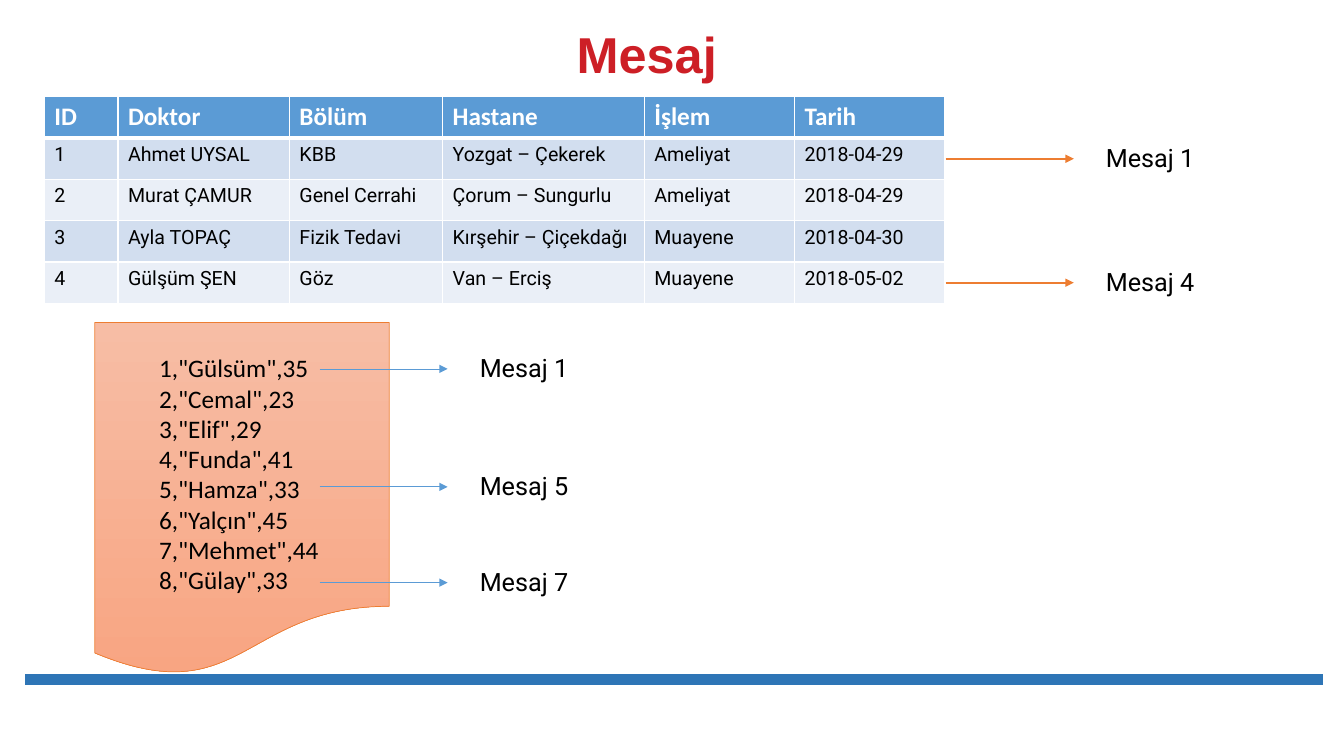
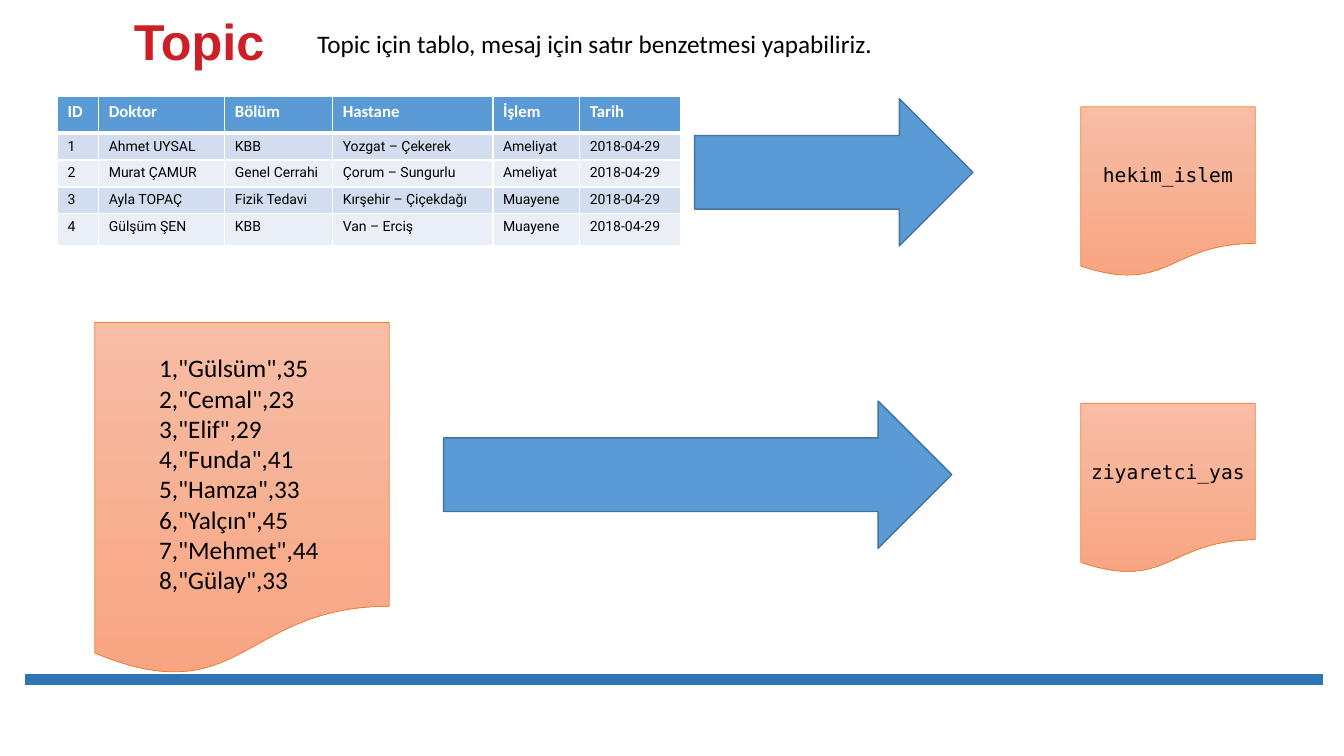
import pptx
import pptx.dml.color
import pptx.enum.shapes
import pptx.enum.text
import pptx.oxml
import pptx.oxml.ns
import pptx.util
from lxml import etree

Inches = pptx.util.Inches
Pt = pptx.util.Pt
Shape = pptx.enum.shapes.MSO_SHAPE
Anchor = pptx.enum.text.MSO_ANCHOR
Align = pptx.enum.text.PP_ALIGN
qn = pptx.oxml.ns.qn

BLACK, WHITE, RED = "000000", "FFFFFF", "CD1F26"
BLUE, NAVY, EDGE = "5B9BD5", "2E75B6", "43739E"
ORANGE, PEACH, SALMON = "ED7D31", "F7BDA5", "F8A582"
BANDS = ("D2DEEF", "EAEFF7")

HEADER = ("ID", "Doktor", "Bölüm", "Hastane", "İşlem", "Tarih")
DOCTORS = ("Ahmet UYSAL", "Murat ÇAMUR", "Ayla TOPAÇ", "Gülşüm ŞEN")
WARDS = ("KBB", "Genel Cerrahi", "Fizik Tedavi")
PLACES = ("Yozgat – Çekerek", "Çorum – Sungurlu", "Kırşehir – Çiçekdağı", "Van – Erciş")
TASKS = ("Ameliyat", "Ameliyat", "Muayene", "Muayene")
DAY = "2018-04-29"
VISITS = (("Gülsüm", 35), ("Cemal", 23), ("Elif", 29), ("Funda", 41),
          ("Hamza", 33), ("Yalçın", 45), ("Mehmet", 44), ("Gülay", 33))


def color(code):
    return pptx.dml.color.RGBColor.from_string(code)


def write(frame, words, size=18, font="Calibri", hue=BLACK, bold=False,
          align=Align.LEFT, anchor=Anchor.TOP, space=None, wrap=True):
    """Fill a text frame, one paragraph for each line of words."""
    frame.word_wrap = wrap
    frame.vertical_anchor = anchor
    frame.text = words
    for para in frame.paragraphs:
        para.alignment = align
        para.line_spacing = space
        for run in para.runs:
            run.font.size = Pt(size)
            run.font.name = font
            run.font.bold = bold
            run.font.color.rgb = color(hue)


def label(slide, words, x, y, w, h, **style):
    box = slide.shapes.add_textbox(Inches(x), Inches(y), Inches(w), Inches(h))
    write(box.text_frame, words, **style)


def rule(slide, x, end, y, hue, width, head=False):
    """Draw a level line, with an arrowhead at its end if asked."""
    line = slide.shapes.add_connector(
        pptx.enum.shapes.MSO_CONNECTOR.STRAIGHT,
        Inches(x), Inches(y), Inches(end), Inches(y))
    line.line.color.rgb = color(hue)
    line.line.width = Pt(width)
    if head:
        etree.SubElement(line.line._get_or_add_ln(), qn("a:tailEnd"), type="triangle")
    etree.SubElement(line._element.spPr, qn("a:effectLst"))


def pointer(slide, words, x, y, hue, width):
    """Draw an arrow to the right with a message label after it."""
    end = x + 1.27
    rule(slide, x, end, y, hue, width, head=True)
    label(slide, words, end + 0.22, y - 0.21, 1.18, 0.4, font="Roboto")


def solid(slide, kind, x, y, w, h, edge, width):
    shape = slide.shapes.add_shape(kind, Inches(x), Inches(y), Inches(w), Inches(h))
    shape.shadow.inherit = False
    shape.line.color.rgb = color(edge)
    shape.line.width = Pt(width)
    return shape


def paper(slide, x, y, w, h):
    """Draw a document shape with a fill that darkens downwards."""
    sheet = solid(slide, Shape.FLOWCHART_DOCUMENT, x, y, w, h, ORANGE, 0.5)
    sheet.fill.gradient()
    sheet.fill.gradient_angle = 270
    for stop, hue in zip(sheet.fill.gradient_stops, (PEACH, SALMON)):
        stop.color.rgb = color(hue)
    return sheet


def topic(slide, name, y):
    sheet = paper(slide, 10.72, y, 1.73, 1.69)
    write(sheet.text_frame, name, size=14, font="DejaVu Sans Mono",
          align=Align.CENTER, anchor=Anchor.MIDDLE, wrap=False)


def arrow(slide, x, y, w):
    block = solid(slide, Shape.RIGHT_ARROW, x, y, w, 1.46, EDGE, 1)
    block.fill.solid()
    block.fill.fore_color.rgb = color(BLUE)


def visits(slide):
    """Draw the file of visitors."""
    paper(slide, 0.94, 3.2, 2.92, 3.51)
    lines = [f'{n},"{name}",{age}' for n, (name, age) in enumerate(VISITS, 1)]
    label(slide, "\n".join(lines), 1.48, 3.45, 1.83, 2.52)


def border(cell, top, base):
    props = cell._tc.get_or_add_tcPr()
    sides = (("L", 1), ("R", 1), ("T", top), ("B", base))
    for spot, (side, width) in enumerate(sides):
        line = pptx.oxml.parse_xml(
            f'<a:ln{side} xmlns:a="{pptx.oxml.ns.nsdecls("a").split(chr(34))[1]}" '
            f'w="{Pt(width)}"><a:solidFill><a:srgbClr val="{WHITE}"/>'
            f'</a:solidFill></a:ln{side}>')
        props.insert(spot, line)


def records(ward, days):
    """Join the columns; ward is that of the last doctor."""
    return list(zip("1234", DOCTORS, WARDS + (ward,), PLACES, TASKS, days))


def grid(slide, x, cols, rows, data, title, body):
    """Draw the table; title and body are the text sizes."""
    table = slide.shapes.add_table(
        len(rows), len(cols), Inches(x), Inches(0.96),
        Inches(sum(cols)), Inches(sum(rows))).table
    for col, width in zip(table.columns, cols):
        col.width = Inches(width)
    for r, (height, record) in enumerate(zip(rows, [HEADER] + data)):
        table.rows[r].height = Inches(height)
        for c, words in enumerate(record):
            cell = table.cell(r, c)
            cell.fill.solid()
            cell.fill.fore_color.rgb = color(BANDS[(r - 1) % 2] if r else BLUE)
            border(cell, 3 if r == 1 else 1, 1 if r else 3)
            if r:
                write(cell.text_frame, words, size=body, font="Roboto")
            else:
                write(cell.text_frame, words, size=title, hue=WHITE, bold=True)


def page(deck, title, x, y, w):
    """Add a slide with the shared footer line and title style."""
    slide = deck.slides.add_slide(deck.slide_layouts[6])
    rule(slide, 0.25, 13.12, 6.74, NAVY, 8)
    label(slide, title, x, y, w, 0.58, size=36, font="Arial", hue=RED, bold=True,
          align=Align.CENTER, anchor=Anchor.BOTTOM, space=0.9)
    return slide


def message(deck):
    slide = page(deck, "Mesaj", 3.86, 0.31, 5.11)
    data = records("Göz", (DAY, DAY, "2018-04-30", "2018-05-02"))
    grid(slide, 0.44, (0.73, 1.7, 1.52, 2, 1.49, 1.49), [0.41] * 5, data, 18, 14)
    for n in (1, 4):
        pointer(slide, f"Mesaj {n}", 9.38, 0.96 + 0.41 * (n + 0.5), ORANGE, 1.5)
    visits(slide)
    for n, y in ((1, 3.66), (5, 4.83), (7, 5.78)):
        pointer(slide, f"Mesaj {n}", 3.17, y, BLUE, 0.5)


def topics(deck):
    slide = page(deck, "Topic", 0.62, 0.18, 2.71)
    data = records("KBB", [DAY] * 4)
    grid(slide, 0.57, (0.41, 1.25, 1.07, 1.59, 0.86, 1),
         (0.36, 0.26, 0.26, 0.26, 0.32), data, 12, 10)
    visits(slide)
    label(slide, "Topic için tablo, mesaj için satır benzetmesi yapabiliriz.",
          3.05, 0.23, 5.77, 0.4, wrap=False)
    arrow(slide, 6.89, 0.98, 2.76)
    arrow(slide, 4.4, 3.98, 5.04)
    topic(slide, "hekim_islem", 1.06)
    topic(slide, "ziyaretci_yas", 4)


def main():
    deck = pptx.Presentation()
    deck.slide_width, deck.slide_height = Inches(13.33), Inches(7.5)
    message(deck)
    topics(deck)
    deck.save("out.pptx")


if __name__ == "__main__":
    main()
